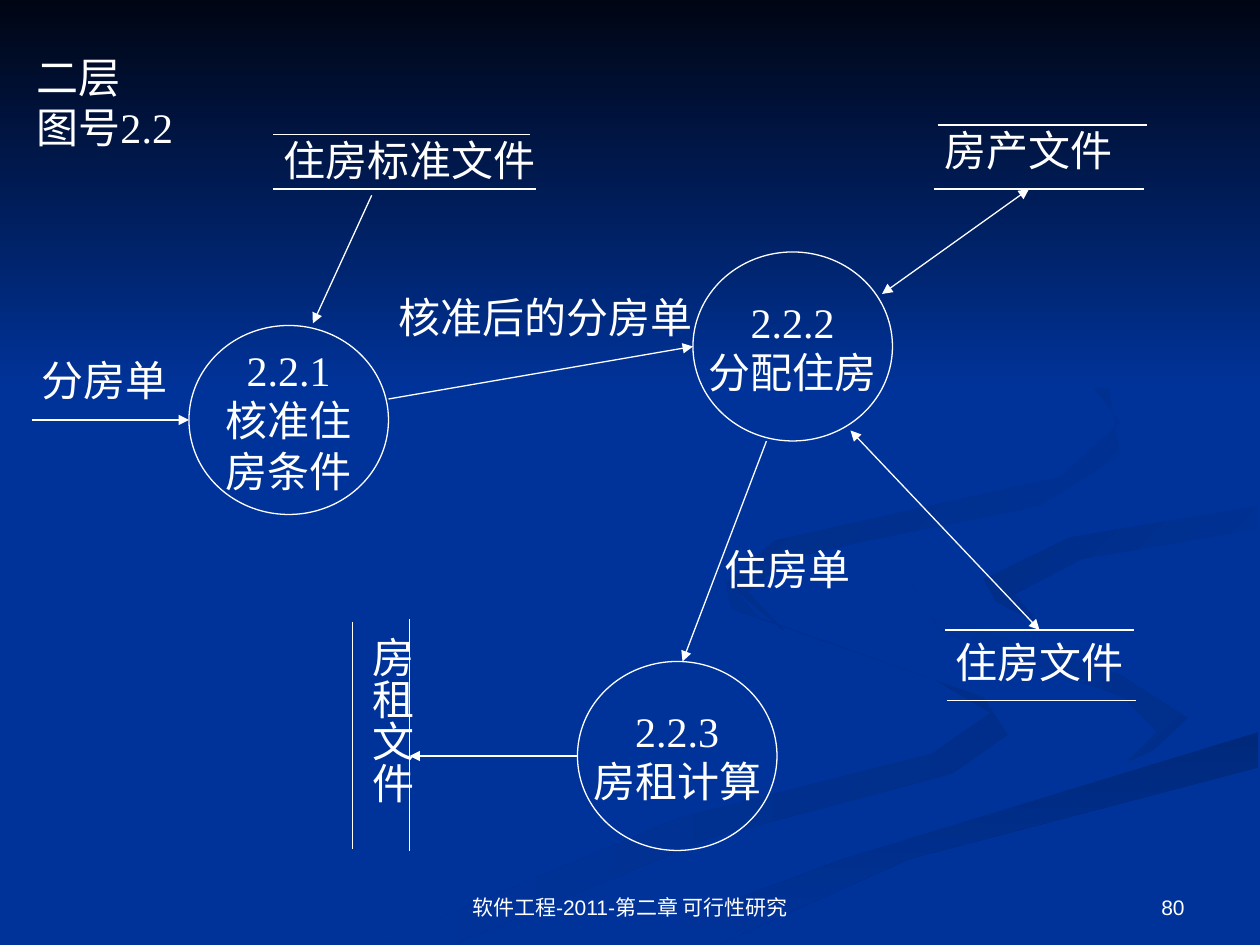
import dataclasses
import typing

import pptx
import pptx.dml.color
import pptx.enum.shapes
import pptx.enum.text
import pptx.oxml.ns
import pptx.util
from lxml import etree

PX = 7620
WHITE = "FFFFFF"
BLUE = "003399"
ALIGN = pptx.enum.text.PP_ALIGN
ANCHOR = pptx.enum.text.MSO_ANCHOR
SHAPE = pptx.enum.shapes.MSO_SHAPE


class Swoosh(typing.NamedTuple):
    points: list
    start: str
    end: str
    angle: int = 225


class Process(typing.NamedTuple):
    x: int
    y: int
    lines: list


class Line(typing.NamedTuple):
    x1: int
    y1: int
    x2: int
    y2: int
    arrows: tuple = ()


@dataclasses.dataclass
class Label:
    x: int
    y: int
    lines: list
    w: int = 0
    h: int = 60
    size: int = 24
    font: str = "Times New Roman"
    align: ALIGN = ALIGN.LEFT
    anchor: ANCHOR = ANCHOR.TOP
    wrap: bool = False
    vertical: bool = False


FLOW = ("tailEnd",)
BOTH = ("headEnd", "tailEnd")

SWOOSHES = [
    Swoosh([(937, 664), (722, 588), (690, 551), (697, 580), (889, 647), (943, 679),
            (887, 718), (647, 779), (360, 899), (433, 899), (677, 798), (907, 737),
            (960, 700)], "002E8A", BLUE, 180),
    Swoosh([(1132, 684), (1066, 642), (894, 588), (869, 557), (895, 600), (1070, 664),
            (1102, 697), (1073, 726), (1124, 703)], "002E8A", BLUE),
    Swoosh([(604, 899), (685, 899), (866, 818), (1198, 731), (1198, 697), (917, 776),
            (683, 863)], "00297C", BLUE, 90),
    Swoosh([(870, 557), (894, 588), (1067, 642), (1132, 684), (1093, 720), (845, 786),
            (572, 899), (604, 899), (756, 832), (1199, 697), (1199, 646), (998, 598),
            (937, 556), (986, 521), (1199, 482), (1199, 464), (970, 500), (890, 527)],
           BLUE, BLUE),
    Swoosh([(937, 552), (949, 573), (991, 595), (966, 566), (1031, 532), (1198, 504),
            (1198, 482), (1019, 512)], BLUE, "002C85"),
    Swoosh([(820, 516), (990, 482), (1067, 434), (1056, 368), (914, 280), (1015, 335),
            (1067, 402), (1010, 454), (738, 515), (693, 555), (746, 600), (712, 564),
            (749, 533)], BLUE, "002B81"),
    Swoosh([(0, 0), (0, 370), (1200, 370), (1200, 0)], "000514", BLUE, 90),
]

PROCESSES = [
    Process(180, 310, ["2.2.1", "核准住", "房条件"]),
    Process(550, 630, ["2.2.3", "房租计算"]),
    Process(660, 240, ["2.2.2", "分配住房"]),
]

LINES = [
    Line(30, 400, 180, 400, FLOW), Line(370, 380, 660, 330, FLOW),
    Line(354, 186, 298, 308, FLOW), Line(730, 420, 650, 630, FLOW),
    Line(550, 720, 390, 720, FLOW), Line(840, 280, 980, 180, BOTH),
    Line(810, 410, 990, 600, BOTH),
    Line(260, 128, 505, 128), Line(260, 180, 510, 180),
    Line(893, 119, 1092, 119), Line(890, 180, 1090, 180),
    Line(900, 600, 1080, 600), Line(902, 667, 1082, 667),
    Line(336, 592, 336, 809), Line(390, 590, 390, 810),
]

LABELS = [
    Label(23, 43, ["二层", "图号2.2"], 163, 108),
    Label(28, 332, ["分房单"]),
    Label(258, 122, ["住房标准文件"]),
    Label(888, 113, ["房产文件"]),
    Label(898, 600, ["住房文件"]),
    Label(331, 594, ["房租文件"], 72, 173, vertical=True),
    Label(368, 272, ["核准后的分房单"]),
    Label(678, 512, ["住房单"]),
    Label(410, 820, ["软件工程-2011-第二章 可行性研究"], 380, 62, 12, "Arial",
          ALIGN.CENTER, ANCHOR.BOTTOM, True),
    Label(860, 820, ["80"], 280, 62, 12, "Arial", ALIGN.RIGHT, ANCHOR.BOTTOM, True),
]


def color(value: str) -> pptx.dml.color.RGBColor:
    return pptx.dml.color.RGBColor.from_string(value)


def box(*lengths: int) -> list:
    return [pptx.util.Emu(n * PX) for n in lengths]


def write(tf, lines: list, size: int, font: str, align: ALIGN) -> None:
    for i, line in enumerate(lines):
        p = tf.paragraphs[0] if i == 0 else tf.add_paragraph()
        p.text = line
        p.alignment = align
        p.font.size = pptx.util.Pt(size)
        p.font.name = font
        p.font.color.rgb = color(WHITE)


def draw_swoosh(shapes, s: Swoosh) -> None:
    builder = shapes.build_freeform(*s.points[0], scale=PX)
    builder.add_line_segments(s.points[1:], close=True)
    sp = builder.convert_to_shape()
    sp.shadow.inherit = False
    sp.line.fill.background()
    if s.start == s.end:
        sp.fill.solid()
        sp.fill.fore_color.rgb = color(s.start)
        return
    sp.fill.gradient()
    sp.fill.gradient_angle = 360 - s.angle
    for stop, value in zip(sp.fill.gradient_stops, (s.start, s.end)):
        stop.color.rgb = color(value)


def draw_process(shapes, item: Process) -> None:
    sp = shapes.add_shape(SHAPE.OVAL, *box(item.x, item.y, 190, 180))
    sp.shadow.inherit = False
    sp.fill.background()
    sp.line.color.rgb = color(WHITE)
    sp.line.width = pptx.util.Pt(0.75)
    tf = sp.text_frame
    tf.word_wrap = False
    tf.vertical_anchor = ANCHOR.MIDDLE
    write(tf, item.lines, 24, "Times New Roman", ALIGN.CENTER)


def draw_line(shapes, item: Line) -> None:
    straight = pptx.enum.shapes.MSO_CONNECTOR.STRAIGHT
    sp = shapes.add_connector(straight, *box(item.x1, item.y1, item.x2, item.y2))
    sp.line.color.rgb = color(WHITE)
    sp.line.width = pptx.util.Pt(0.75)
    ln = sp._element.spPr.find(pptx.oxml.ns.qn("a:ln"))
    for end in item.arrows:
        etree.SubElement(ln, pptx.oxml.ns.qn("a:" + end), type="triangle")
    etree.SubElement(sp._element.spPr, pptx.oxml.ns.qn("a:effectLst"))


def draw_label(shapes, item: Label) -> None:
    width = item.w or 24 + 40 * len(item.lines[0])
    tf = shapes.add_textbox(*box(item.x, item.y, width, item.h)).text_frame
    tf.word_wrap = item.wrap
    tf.vertical_anchor = item.anchor
    if item.vertical:
        tf._txBody.bodyPr.set("vert", "eaVert")
        tf.margin_left, tf.margin_top, tf.margin_right, tf.margin_bottom = box(6, 12, 6, 12)
    write(tf, item.lines, item.size, item.font, item.align)


def main() -> None:
    """Build the second-level data flow diagram slide."""
    prs = pptx.Presentation()
    prs.slide_width, prs.slide_height = box(1200, 900)
    slide = prs.slides.add_slide(prs.slide_layouts[6])
    slide.background.fill.solid()
    slide.background.fill.fore_color.rgb = color(BLUE)
    groups = [(draw_swoosh, SWOOSHES), (draw_process, PROCESSES),
              (draw_line, LINES), (draw_label, LABELS)]
    for draw, items in groups:
        for item in items:
            draw(slide.shapes, item)
    prs.save("out.pptx")


if __name__ == "__main__":
    main()
